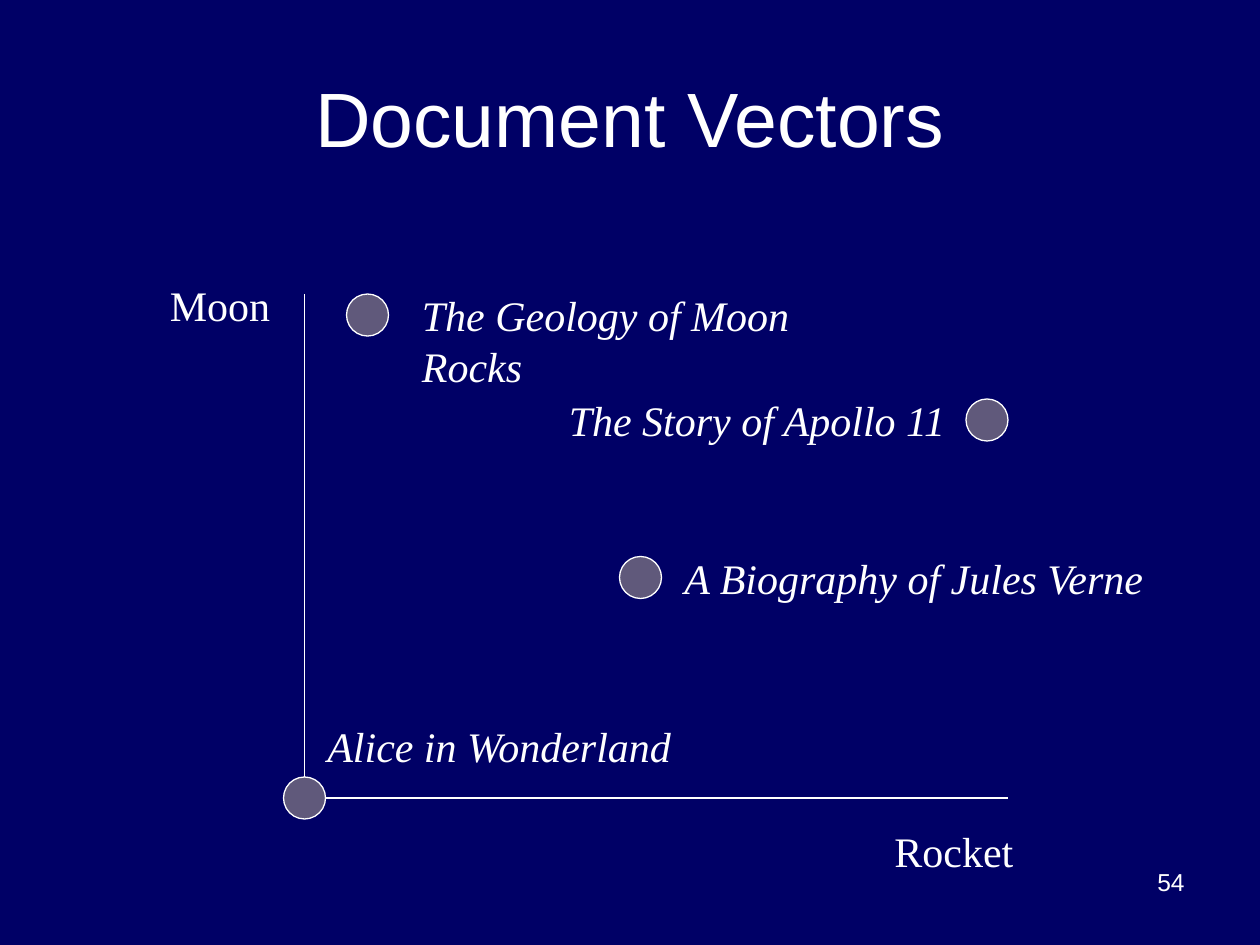
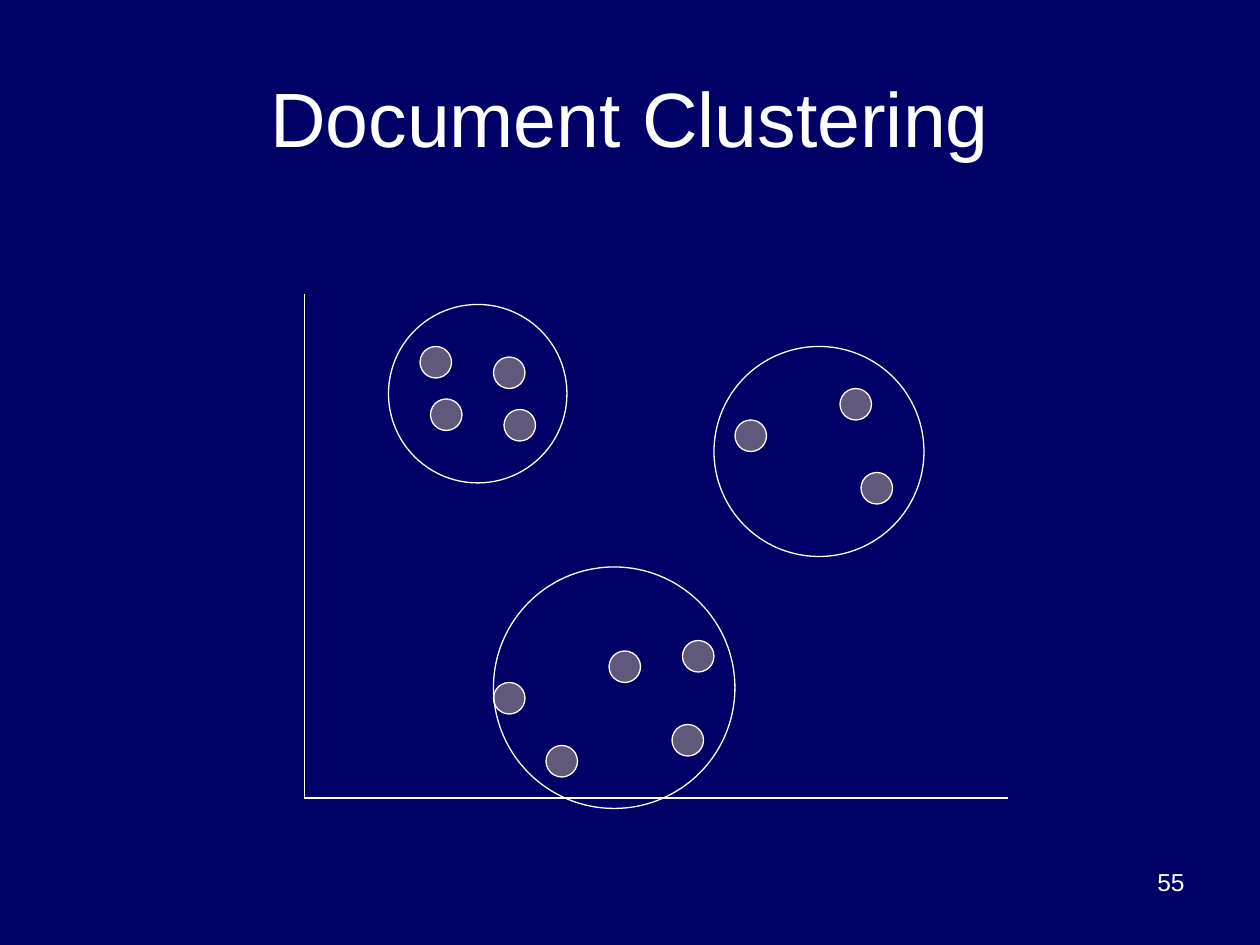
import lxml.etree
import pptx
import pptx.dml.color
import pptx.enum.shapes
import pptx.enum.text
import pptx.oxml.ns
import pptx.util

Pt = pptx.util.Pt
RGBColor = pptx.dml.color.RGBColor
Align = pptx.enum.text.PP_ALIGN
Anchor = pptx.enum.text.MSO_ANCHOR

NAVY = RGBColor(0x00, 0x00, 0x66)
WHITE = RGBColor(0xFF, 0xFF, 0xFF)
MAUVE = RGBColor(0x60, 0x59, 0x7B)

SANS = "Arial"
SERIF = "Times New Roman"
LINE_WIDTH = 0.75
FIRST_PAGE_NUMBER = 54

# The axes meet at the origin on both slides.
ORIGIN_X, ORIGIN_Y = 174, 456
AXIS_TOP, AXIS_RIGHT = 168, 576

DOCUMENT_SIZE = 24
# Each document: title, left and top of its dot, left, top and width of its label.
DOCUMENTS = [
    ("Alice in Wonderland", (162, 444), (180, 408, 213)),
    ("The Geology of Moon Rocks", (198, 168), (234, 162, 287)),
    ("A Biography of Jules Verne", (354, 318), (384, 312, 279)),
    ("The Story of Apollo 11", (552, 228), (318, 222, 232)),
]

MEMBER_SIZE = 18
# Each cluster: left, top and diameter of its circle, then the places of its members.
CLUSTERS = [
    ((222, 174, 102), [(246, 228), (288, 234), (240, 198), (282, 204)]),
    ((408, 198, 120), [(492, 270), (420, 240), (480, 222)]),
    ((282, 324, 138), [(282, 390), (348, 372), (390, 366), (312, 426), (384, 414)]),
]


class SlideBuilder:
    """Holds the deck, its style and the page being drawn."""

    def __init__(self):
        self.deck = pptx.Presentation()
        self.deck.slide_width = Pt(720)
        self.deck.slide_height = Pt(540)
        background = self.deck.slide_master.background.fill
        background.solid()
        background.fore_color.rgb = NAVY
        self.page = None

    def start_page(self, title):
        """Add a page with its title, number and pair of axes."""
        number = FIRST_PAGE_NUMBER + len(self.deck.slides)
        self.page = self.deck.slides.add_slide(self.deck.slide_layouts[6])
        self.text(title, 36, 21.6, 648, 90, size=44, align=Align.CENTER,
                  anchor=Anchor.MIDDLE)
        self.text(str(number), 516, 492, 168, 37.5, size=14, align=Align.RIGHT)
        self.line(ORIGIN_X, AXIS_TOP, ORIGIN_X, ORIGIN_Y)
        self.line(ORIGIN_X, ORIGIN_Y, AXIS_RIGHT, ORIGIN_Y)

    def text(self, words, left, top, width, height, size, font=SANS, italic=False,
             align=Align.LEFT, anchor=Anchor.TOP, wrap=True):
        box = self.page.shapes.add_textbox(Pt(left), Pt(top), Pt(width), Pt(height))
        frame = box.text_frame
        frame.word_wrap = wrap
        frame.vertical_anchor = anchor
        para = frame.paragraphs[0]
        para.alignment = align
        span = para.add_run()
        span.text = words
        span.font.name = font
        span.font.size = Pt(size)
        span.font.italic = italic
        span.font.color.rgb = WHITE

    def label(self, words, left, top, width, italic=False, wrap=True):
        self.text(words, left, top, width, 36, size=24, font=SERIF, italic=italic,
                  wrap=wrap)

    def line(self, start_x, start_y, end_x, end_y):
        line = self.page.shapes.add_connector(
            pptx.enum.shapes.MSO_CONNECTOR.STRAIGHT,
            Pt(start_x), Pt(start_y), Pt(end_x), Pt(end_y))
        self.outline(line)
        lxml.etree.SubElement(line._element.spPr, pptx.oxml.ns.qn("a:effectLst"))

    def circle(self, left, top, diameter, color=None):
        """Draw a white circle, hollow unless a fill color is given."""
        circle = self.page.shapes.add_shape(
            pptx.enum.shapes.MSO_SHAPE.OVAL,
            Pt(left), Pt(top), Pt(diameter), Pt(diameter))
        circle.shadow.inherit = False
        self.outline(circle)
        if color is None:
            circle.fill.background()
        else:
            circle.fill.solid()
            circle.fill.fore_color.rgb = color

    def outline(self, shape):
        shape.line.color.rgb = WHITE
        shape.line.width = Pt(LINE_WIDTH)


def draw_document_vectors(builder):
    builder.start_page("Document Vectors")
    builder.label("Moon", 90, 156, 72)
    builder.label("Rocket", 504, 468, 96)
    for title, dot_place, label_place in DOCUMENTS:
        builder.circle(*dot_place, DOCUMENT_SIZE, MAUVE)
        builder.label(title, *label_place, italic=True, wrap=False)


def draw_document_clustering(builder):
    builder.start_page("Document Clustering")
    for boundary, members in CLUSTERS:
        for left, top in members:
            builder.circle(left, top, MEMBER_SIZE, MAUVE)
        builder.circle(*boundary)


def main():
    builder = SlideBuilder()
    draw_document_vectors(builder)
    draw_document_clustering(builder)
    builder.deck.save("out.pptx")


if __name__ == "__main__":
    main()
